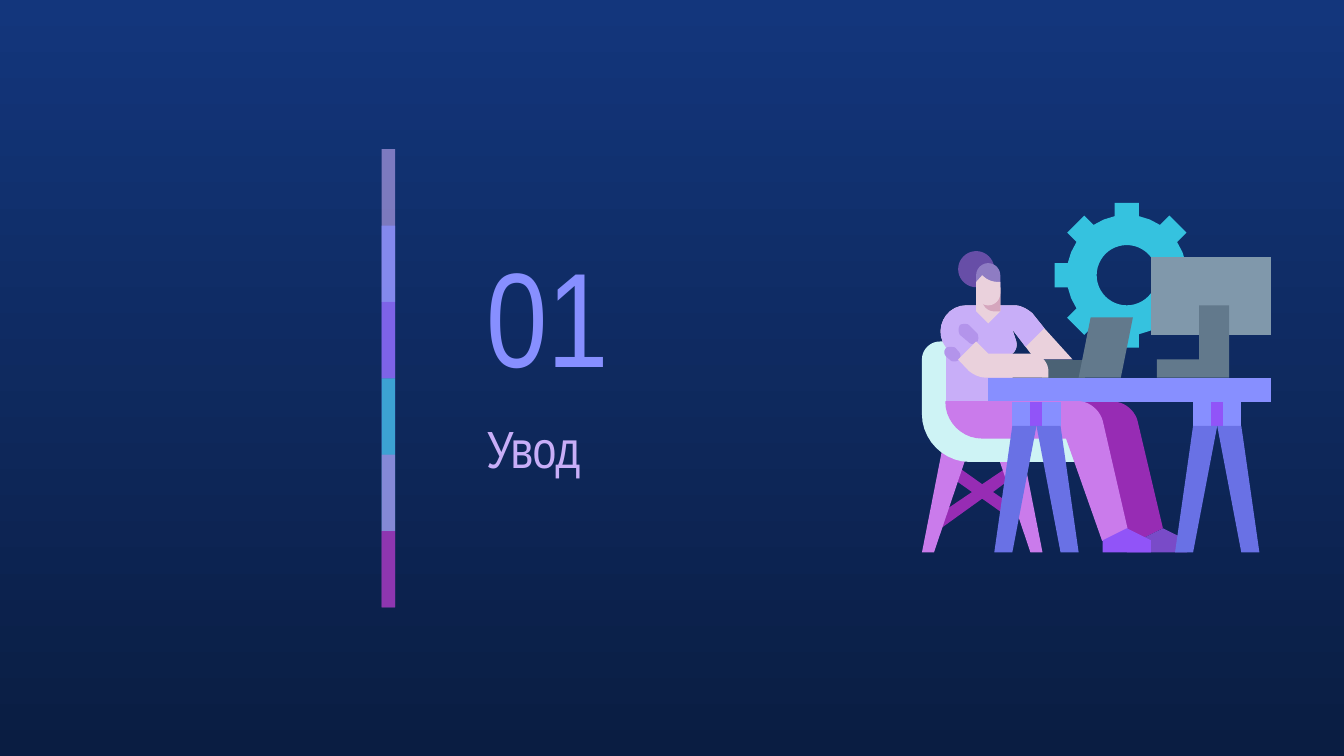
from collections import namedtuple
from itertools import chain
from math import cos, pi, sin, sqrt

from pptx import Presentation, util as u
from pptx.dml.color import RGBColor
from pptx.enum import shapes, text
from pptx.oxml.xmlchemy import OxmlElement

Theme = namedtuple("Theme", "font sizes ramp hues")
THEME = Theme(
    font="Arial Narrow",
    sizes={"number": 72, "title": 28},
    ramp=("13367C", "0A1D42"),
    hues={
        "cyan": "35C2DF", "slate": "4B6275", "plum": "972CB4", "pink": "CA7BEB",
        "ice": "CEF3F5", "grape": "794BC8", "skin": "EAD1DC", "lilac": "C8AEF8",
        "blue": "878FFF", "mauve": "B394EB", "steel": "62798C", "violet": "9154F8",
        "silver": "8098AB", "indigo": "6971E5", "blush": "D5A6BD",
        "hair": "674EA7", "fringe": "8E7CC3",
    },
)
WIDE = 10
HIGH = WIDE * 9 / 16
CELL, LEFT, TOP = 2.6 / 58, 6.86, 1.51
STEPS, KAPPA = 10, 0.55
BANDS = (("lilac", 59), ("blue", 74), ("violet", 53),
         ("cyan", 76), ("pink", 56), ("plum", 74))


def tint(fmt, hue):
    fmt.solid()
    fmt.fore_color.rgb = RGBColor.from_string(THEME.hues[hue])


def place(x, y):
    return u.Inches(LEFT + x * CELL), u.Inches(TOP + y * CELL)


def curve(start, leg):
    if len(leg) == 4:
        corner, end = leg[:2], leg[2:]
        first = [a + KAPPA * (c - a) for a, c in zip(start, corner)]
        second = [b + KAPPA * (c - b) for b, c in zip(end, corner)]
    else:
        first, second, end = leg[:2], leg[2:4], leg[4:]
    for step in range(1, STEPS + 1):
        t = step / STEPS
        s = 1 - t
        yield tuple(s**3 * a + 3 * s * s * t * b + 3 * s * t * t * c + t**3 * d
                    for a, b, c, d in zip(start, first, second, end))


def trace(legs):
    dots = [legs[0]]
    for leg in legs[1:]:
        dots.extend([leg] if len(leg) == 2 else curve(dots[-1], leg))
    return [place(*dot) for dot in dots]


def finish(shape, hue, edge=False):
    shape.shadow.inherit = False
    tint(shape.fill, hue)
    if edge:
        tint(shape.line.fill, hue)
        shape.line.width = u.Pt(0.75)
    else:
        shape.line.fill.background()
    return shape


def form(group, hue, *legs, hole=(), edge=False):
    dots = trace(legs)
    pen = group.shapes.build_freeform(*dots[0], scale=1)
    pen.add_line_segments(dots[1:], close=True)
    if hole:
        ring = trace(hole)
        pen.move_to(*ring[0])
        pen.add_line_segments(ring[1:], close=True)
    finish(pen.convert_to_shape(), hue, edge)


def block(group, hue, x, y, right, low):
    form(group, hue, (x, y), (right, y), (right, low), (x, low))


def pair(group, hue, axis, *legs):
    form(group, hue, *legs)
    form(group, hue, *((2 * axis - x, y) for x, y in legs))


def gear(group, x, y):
    def spin(across, out, angle):
        return (x + out * cos(angle) - across * sin(angle),
                y + out * sin(angle) + across * cos(angle))

    root = sqrt(96)
    tooth = ((-2, root), (-2, 12), (2, 12), (2, root))
    rim = chain.from_iterable(
        [spin(*dot, k * pi / 4) for dot in tooth] + [spin(0, 10, (k + 0.5) * pi / 4)]
        for k in range(8))
    hole = [spin(0, 5, -k * pi / 24) for k in range(48)]
    form(group, "cyan", *rim, hole=hole)


def chair(group):
    form(group, "plum", (5.5, 43.5), (4.5, 45.3), (8.3, 48), (1.8, 52.4),
         (2.9, 54.2), (10, 49.1), (13.8, 51.8), (15, 50.2), (11.8, 48),
         (15.4, 45.3), (14.3, 43.8), (10, 46.7))
    pair(group, "pink", 10, (12, 40.2), (18, 58), (20, 58), (16.5, 40.2))
    form(group, "ice", (3, 23), (0, 23, 0, 26), (0, 35), (0, 43, 8, 43),
         (27, 43), (27, 38.2), (10, 38.2), (5, 38.2, 5, 33), (5, 23))


def body(group):
    chest = ((7.4, 17), (3.8, 17, 1.8, 21.2, 4, 24), (4, 33), (15, 33), (15, 25),
             (15.6, 24.6, 15.9, 23.7, 15.6, 22.8), (15, 21), (17.2, 23.9))
    sleeve = ((20.3, 20.8), (18.3, 18.3), (17.4, 17.6, 16.5, 17, 15.2, 17))
    form(group, "skin", *chest, (18.8, 26), (25, 26), *sleeve)
    form(group, "lilac", *chest, *sleeve)


def arm(group):
    form(group, "mauve", (4.7, 23.9), (4.5, 23.9, 4.2, 23.9, 4, 24.1),
         (3.6, 24.5, 3.6, 25, 4, 25.5), (4.7, 26.1), (4.9, 26.3, 5.1, 26.3, 5.4, 26.3),
         (5.6, 26.3, 5.8, 26.3, 6, 26.1), (6.5, 25.7, 6.5, 25, 6, 24.6),
         (5.6, 24.1), (5.4, 23.9, 4.9, 23.9, 4.7, 23.9))
    form(group, "mauve", (7.1, 20.1), (6.9, 20.1, 6.5, 20.1, 6.3, 20.3),
         (6, 20.8, 6, 21.4, 6.3, 21.9), (7.6, 23), (7.8, 23.2, 8, 23.4, 8.3, 23.4),
         (8.7, 23.4, 8.9, 23.2, 9.2, 23), (9.4, 22.8, 9.4, 22.1, 9.2, 21.7),
         (7.8, 20.3), (7.6, 20.1, 7.4, 20.1, 7.1, 20.1))
    form(group, "skin", (9, 14), (9, 18), (11, 20), (13, 18), (13, 14))
    form(group, "skin", (9, 23), (6, 26), (7.8, 27.9), (8.7, 28.6, 9.6, 29, 10.7, 29),
         (21, 29), (21, 28), (21, 25, 18, 25), (11, 25))


def limb(group, hue, x, knee, ankle, edge=False):
    form(group, hue, (x, 33), (x, 39, x + 6, 39), (x + 20, 39), *ankle,
         (knee, 36.2), (knee - 0.8, 33, x + 21.9, 33), edge=edge)


def shoe(group, hue, x, back, toe):
    form(group, hue, (x + 4, 54), (x, 56), (back, 56), (back, 58), (toe, 58),
         (toe, 56))


def stand(group, x):
    block(group, "blue", x, 33, x + 8, 37)
    block(group, "violet", x + 3, 33, x + 5, 37)
    pair(group, "indigo", x + 4, (x, 37), (x - 3, 58), (x, 58), (x + 4, 37))


def head(group):
    form(group, "blush", (10, 14), (10, 16), (10, 18, 12, 18), (13, 18), (13, 14))
    form(group, "hair", (9, 8), (6, 8, 6, 11), (6, 14, 9, 14), (12, 14, 12, 11),
         (12, 8, 9, 8))
    form(group, "fringe", (11, 10), (9, 10, 9, 12), (9, 14), (13, 14), (13, 12),
         (13, 10, 11, 10))
    form(group, "skin", (10, 12), (9, 13.1), (9, 15), (9, 17, 11, 17),
         (13, 17, 13, 15), (13, 13.1), (12.5, 13.1), (11.6, 13.1, 10.7, 12.7, 10, 12))


def scene(group):
    gear(group, 34, 12)
    block(group, "slate", 20, 26, 27, 29)
    chair(group)
    limb(group, "plum", 10, 35.8, ((34, 56), (36, 56), (40, 54)))
    shoe(group, "grape", 36, 34, 44)
    body(group)
    block(group, "blue", 11, 29, 58, 33)
    arm(group)
    form(group, "steel", (28, 19), (26, 29), (33, 29), (35, 19))
    limb(group, "pink", 4, 29.9, ((30, 56), (34, 54)), edge=True)
    shoe(group, "violet", 30, 30, 38)
    block(group, "silver", 38, 9, 58, 22)
    form(group, "steel", (46, 17), (46, 26), (39, 26), (39, 29), (51, 29), (51, 17))
    for x in (45, 15):
        stand(group, x)
    head(group)


def stripe(group):
    step = 3.41 / len(BANDS)
    for row, (hue, share) in enumerate(BANDS):
        tall = step * min(2, len(BANDS) - row)
        box = map(u.Inches, (2.84, 1.11 + row * step, 0.1, tall))
        bar = finish(group.shapes.add_shape(shapes.MSO_SHAPE.RECTANGLE, *box), hue)
        alpha = OxmlElement("a:alpha")
        alpha.set("val", str(share * 1000))
        bar.fill._xPr.solidFill.srgbClr.append(alpha)


def label(slide, words, kind, hue, y, width, height, anchor):
    box = slide.shapes.add_textbox(*map(u.Inches, (3.52, y, width, height)))
    frame = box.text_frame
    pad = dict.fromkeys(("margin_left", "margin_right", "margin_top", "margin_bottom"),
                        u.Inches(0.1))
    for name, value in {**pad, "word_wrap": True, "vertical_anchor": anchor}.items():
        setattr(frame, name, value)
    run = frame.paragraphs[0].add_run()
    run.text = words
    for name, value in {"name": THEME.font, "size": u.Pt(THEME.sizes[kind])}.items():
        setattr(run.font, name, value)
    tint(run.font.fill, hue)


def main():
    deck = Presentation()
    deck.slide_width, deck.slide_height = u.Inches(WIDE), u.Inches(HIGH)
    slide = deck.slides.add_slide(deck.slide_layouts[6])
    fill = slide.background.fill
    fill.gradient()
    fill.gradient_angle = 270
    for stop, code in zip(fill.gradient_stops, THEME.ramp):
        stop.color.rgb = RGBColor.from_string(code)
    label(slide, "01", "number", "blue", 1.66, 1.75, 1.35, text.MSO_ANCHOR.MIDDLE)
    label(slide, "Увод", "title", "lilac", 3, 2.87, 1.34, text.MSO_ANCHOR.TOP)
    scene(slide.shapes.add_group_shape())
    stripe(slide.shapes.add_group_shape())
    deck.save("out.pptx")


if __name__ == "__main__":
    main()
